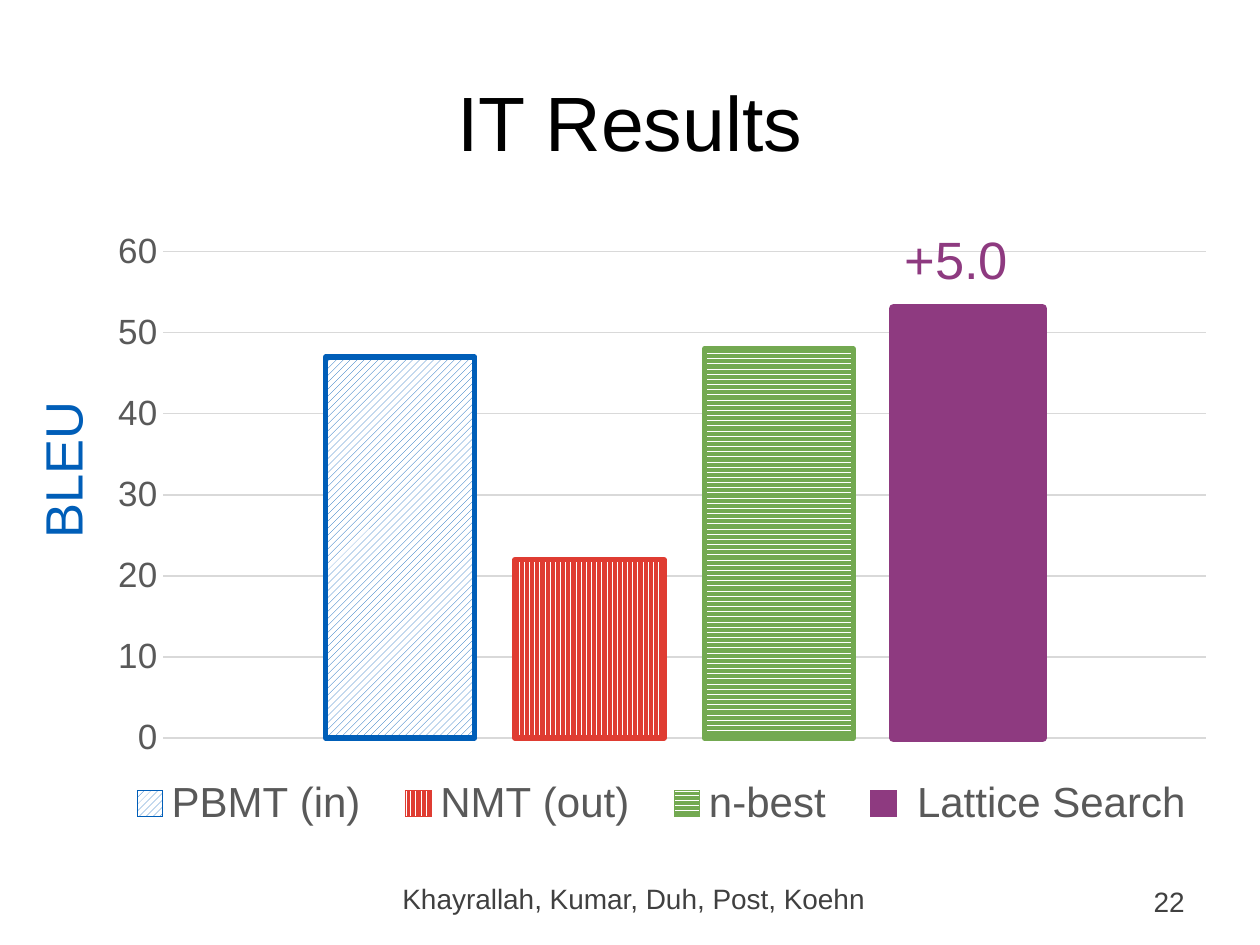
from lxml import etree
from pptx import Presentation
from pptx.chart.data import CategoryChartData
from pptx.dml.color import RGBColor
from pptx.enum import chart as ch, dml, text
from pptx.oxml import ns
from pptx.util import Inches, Pt

FONT = "Arial"
BLACK = RGBColor(0x00, 0x00, 0x00)
WHITE = RGBColor(0xFF, 0xFF, 0xFF)
DARK = RGBColor(0x40, 0x40, 0x40)
GRAY = RGBColor(0x59, 0x59, 0x59)
GRID = RGBColor(0xD9, 0xD9, 0xD9)
BLUE = RGBColor(0x00, 0x5E, 0xB8)
RED = RGBColor(0xDF, 0x3C, 0x32)
GREEN = RGBColor(0x73, 0xA9, 0x51)
PURPLE = RGBColor(0x8E, 0x3A, 0x80)

PATTERN = dml.MSO_PATTERN
ALIGN = text.PP_ALIGN
ANCHOR = text.MSO_ANCHOR

TITLE = "IT Results"
# name, BLEU score, colour, pattern (None is solid), outline in points
SYSTEMS = [
    ("PBMT (in)", 47, BLUE, PATTERN.WIDE_UPWARD_DIAGONAL, 3),
    ("NMT (out)", 22, RED, PATTERN.DARK_VERTICAL, 3),
    ("n-best", 48, GREEN, PATTERN.DARK_HORIZONTAL, 3),
    (" Lattice Search", 53, PURPLE, None, 5),
]
# left, top, width, height as fractions of the chart
PLOT_AREA = (0.06, 0.05, 0.92, 0.78)
LEGEND_AREA = (0.01, 0.89, 0.98, 0.09)
# text, (left, top, width, height), size, colour, alignment, anchor, rotation, wrap
LABELS = [
    ("22", (7.17, 6.95, 2.33, 0.4), 16, DARK, ALIGN.RIGHT, ANCHOR.MIDDLE, 0, True),
    ("Khayrallah, Kumar, Duh, Post, Koehn", (2.81, 6.95, 4.44, 0.4), 16, DARK,
     ALIGN.CENTER, ANCHOR.TOP, 0, True),
    ("+5.0", (7.08, 1.75, 1.03, 0.61), 30, PURPLE, ALIGN.LEFT, ANCHOR.TOP, 0, False),
    ("BLEU", (-0.23, 3.34, 1.45, 0.61), 30, BLUE, ALIGN.LEFT, ANCHOR.TOP, 270, True),
]


def set_font(font, size, color):
    font.name = FONT
    font.size = Pt(size)
    font.color.rgb = color


def add_title(page):
    box = page.shapes.title
    box.left, box.top, box.width, box.height = map(Inches, (0.5, 0.33, 9, 1.25))
    box.text_frame.text = TITLE
    box.text_frame.vertical_anchor = ANCHOR.MIDDLE
    para = box.text_frame.paragraphs[0]
    para.alignment = ALIGN.CENTER
    set_font(para.runs[0].font, 44, BLACK)


def add_label(page, words, place, size, color, align, anchor, rotation, wrap):
    box = page.shapes.add_textbox(*map(Inches, place))
    box.rotation = rotation
    frame = box.text_frame
    frame.text = words
    frame.word_wrap = wrap
    frame.vertical_anchor = anchor
    para = frame.paragraphs[0]
    para.alignment = align
    set_font(para.runs[0].font, size, color)


def place_part(part, index, area, settings):
    """Give a chart part a manual layout, as its child number index."""
    for old in part.findall(ns.qn("c:layout")):
        part.remove(old)
    layout = etree.Element(ns.qn("c:layout"))
    manual = etree.SubElement(layout, ns.qn("c:manualLayout"))
    for tag, value in settings + list(zip("xywh", area)):
        etree.SubElement(manual, ns.qn("c:" + tag)).set("val", str(value))
    part.insert(index, layout)


def add_scores(page):
    data = CategoryChartData()
    data.categories = ["1"]
    for name, score, *_ in SYSTEMS:
        data.add_series(name, [score])
    chart = page.shapes.add_chart(
        ch.XL_CHART_TYPE.COLUMN_CLUSTERED, *map(Inches, (0.75, 1.75, 9, 4.95)), data
    ).chart
    set_font(chart.font, 10, BLACK)
    chart.has_title = False

    chart.has_legend = True
    chart.legend.position = ch.XL_LEGEND_POSITION.BOTTOM
    chart.legend.include_in_layout = False
    set_font(chart.legend.font, 24, GRAY)

    chart.category_axis.visible = False
    axis = chart.value_axis
    axis.minimum_scale, axis.maximum_scale, axis.major_unit = 0, 60, 10
    axis.major_tick_mark = axis.minor_tick_mark = ch.XL_TICK_MARK.NONE
    axis.format.line.fill.background()
    axis.major_gridlines.format.line.color.rgb = GRID
    axis.major_gridlines.format.line.width = Pt(0.75)
    set_font(axis.tick_labels.font, 20, GRAY)

    plot = chart.plots[0]
    plot.vary_by_categories = False
    plot.gap_width = 219
    plot.overlap = -27
    for series, (_, _, color, pattern, outline) in zip(plot.series, SYSTEMS):
        series.invert_if_negative = False
        fill = series.format.fill
        if pattern is None:
            fill.solid()
            fill.fore_color.rgb = color
        else:
            fill.patterned()
            fill.pattern = pattern
            fill.fore_color.rgb = color
            fill.back_color.rgb = WHITE
        series.format.line.color.rgb = color
        series.format.line.width = Pt(outline)

    edges = [("xMode", "edge"), ("yMode", "edge")]
    frame = chart.element.find(ns.qn("c:chart"))
    place_part(frame.find(ns.qn("c:plotArea")), 0, PLOT_AREA,
               [("layoutTarget", "inner")] + edges)
    place_part(frame.find(ns.qn("c:legend")), 1, LEGEND_AREA, edges)


def main():
    deck = Presentation()
    deck.slide_width, deck.slide_height = Inches(10), Inches(7.5)
    page = deck.slides.add_slide(deck.slide_layouts.get_by_name("Title Only"))
    add_title(page)
    add_scores(page)
    for label in LABELS:
        add_label(page, *label)
    deck.save("out.pptx")


if __name__ == "__main__":
    main()
